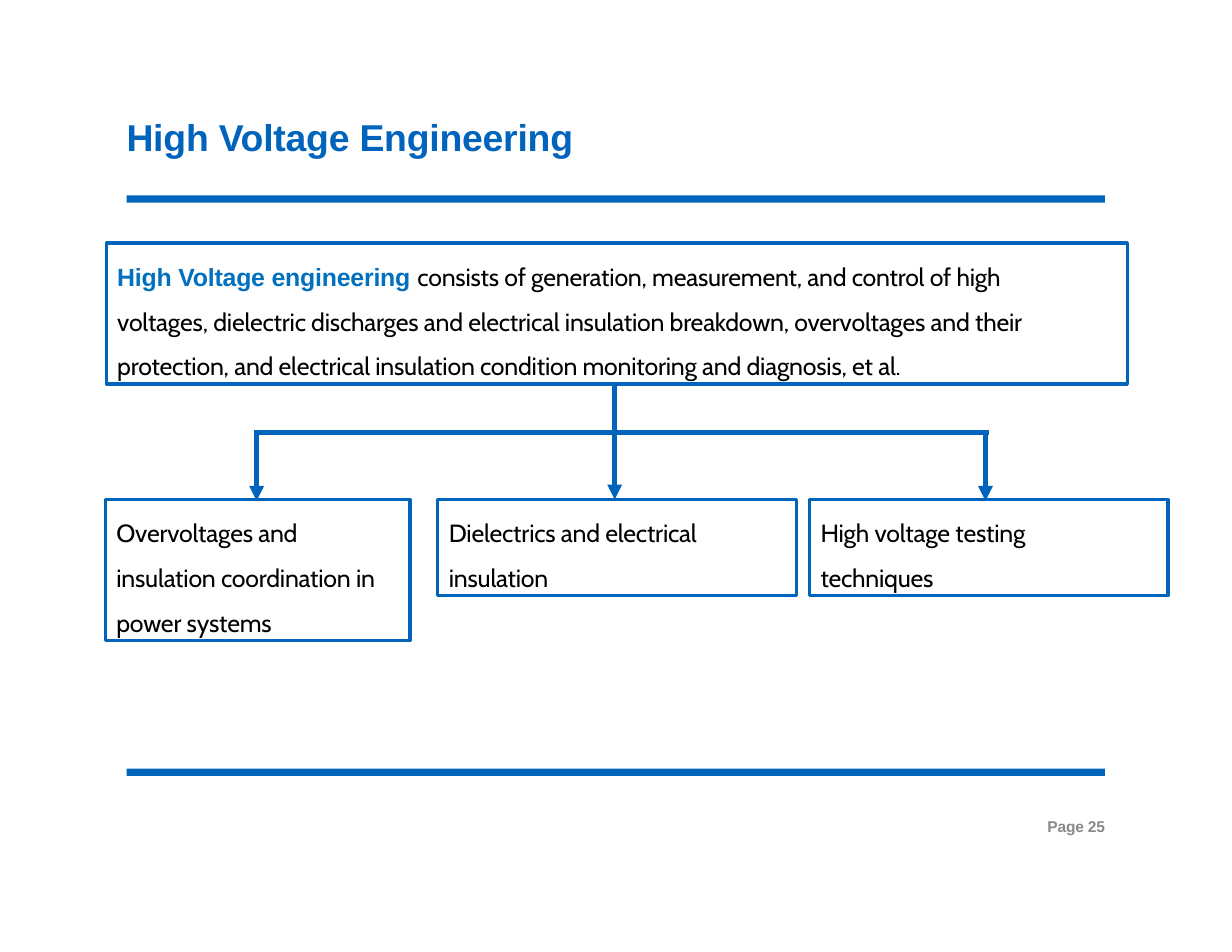
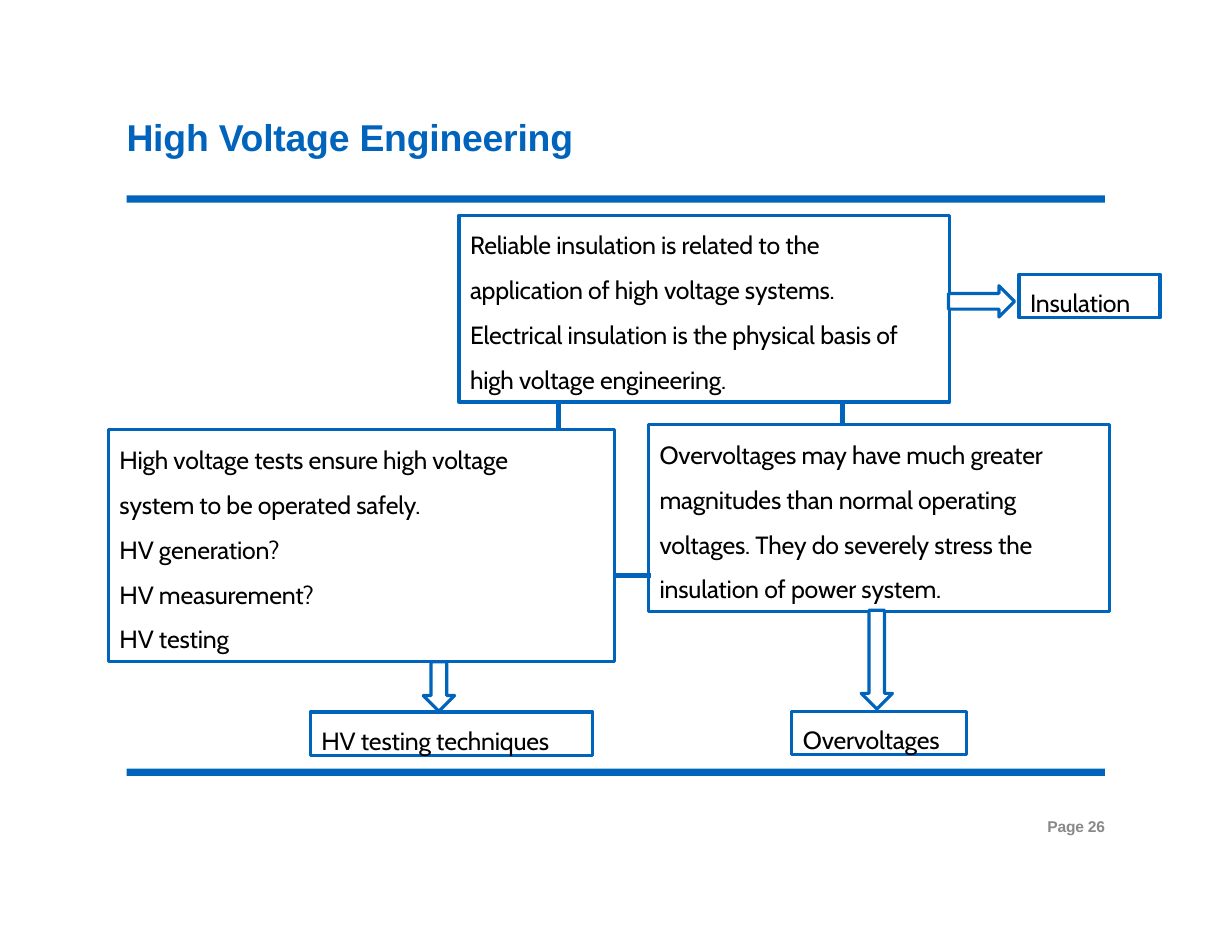
"""Build two slides on the fields of high voltage engineering."""
from lxml import etree
from pptx import Presentation
from pptx.dml.color import RGBColor
from pptx.enum.shapes import MSO_CONNECTOR, MSO_SHAPE
from pptx.enum.text import MSO_ANCHOR, MSO_AUTO_SIZE, PP_ALIGN
from pptx.oxml.ns import qn
from pptx.util import Cm, Inches, Pt

RECT, RIGHT, DOWN = MSO_SHAPE.RECTANGLE, MSO_SHAPE.RIGHT_ARROW, MSO_SHAPE.DOWN_ARROW
STRAIGHT = MSO_CONNECTOR.STRAIGHT
TOP, NONE = MSO_ANCHOR.TOP, MSO_AUTO_SIZE.NONE
START, END = PP_ALIGN.LEFT, PP_ALIGN.RIGHT

HUES = {"blue": "0064BC", "lead": "0070BF", "text": "000000",
        "page": "898989", "white": "FFFFFF"}
TITLE = "High Voltage Engineering"
LEFT, WIDE = 2.87, 22.19
BANDS = (4.43, 17.43)
PAD, LABEL = 0.25, 0.99

SLIDES = [
    {
        "page": "Page 25",
        "inset": 0.08,
        "boxes": [
            ((2.41, 5.51, 23.16, 3.2), 1.34, "High Voltage engineering ",
             ["consists of generation, measurement, and control of high voltages, "
              "dielectric discharges and electrical insulation breakdown, "
              "overvoltages and their protection, and electrical insulation "
              "condition monitoring and diagnosis, et al."]),
            ((2.39, 11.33, 6.91, 3.2), 0.45, "",
             ["Overvoltages and insulation coordination in power systems"]),
            ((9.93, 11.33, 8.13, 2.18), 0.45, "",
             ["Dielectrics and electrical insulation"]),
            ((18.36, 11.33, 8.13, 2.18), 1.34, "",
             ["High voltage testing techniques"]),
        ],
        "labels": [],
        "lines": [
            ((13.94, 8.74, 13.94, 11.33), True),
            ((5.77, 9.8, 22.43, 9.8), False),
            ((5.82, 9.8, 5.82, 11.36), True),
            ((22.35, 9.8, 22.35, 11.36), True),
        ],
        "arrows": [],
    },
    {
        "page": "Page 26",
        "inset": 0,
        "boxes": [
            ((10.41, 4.88, 11.12, 4.24), 0.66, "",
             ["Reliable insulation is related to the application of high voltage "
              "systems. Electrical insulation is the physical basis of high "
              "voltage engineering."]),
            ((2.46, 9.75, 11.48, 5.26), 1.47, "",
             ["High voltage tests ensure high voltage system to be operated safely.",
              "HV generation?", "HV measurement?", "HV testing"]),
            ((14.71, 9.63, 10.46, 4.24), 0.45, "",
             ["Overvoltages may have much greater magnitudes than normal operating "
              "voltages. They do severely stress the insulation of power system."]),
        ],
        "labels": [
            (23.11, 6.22, 3.2, "Insulation"),
            (7.04, 16.15, 6.4, "HV testing techniques"),
            (17.96, 16.13, 3.96, "Overvoltages"),
        ],
        "lines": [
            ((12.67, 9.12, 12.67, 9.75), False),
            ((19.11, 9.12, 19.11, 9.63), False),
            ((13.92, 13.06, 14.76, 13.06), False),
        ],
        "arrows": [
            (RIGHT, (21.51, 6.48, 1.5, 0.71)),
            (DOWN, (19.53, 13.84, 0.71, 2.24)),
            (DOWN, (9.6, 15.01, 0.71, 1.12)),
        ],
    },
]


def hue(name):
    return RGBColor.from_string(HUES[name])


def shape(slide, kind, place, fill=None, line=None):
    item = slide.shapes.add_shape(kind, *map(Cm, place))
    item.shadow.inherit = False
    if fill:
        item.fill.solid()
        item.fill.fore_color.rgb = hue(fill)
    else:
        item.fill.background()
    if line:
        item.line.color.rgb = hue(line)
        item.line.width = Pt(2.04)
    else:
        item.line.fill.background()
    return item


def write(item, paras, lead="", font="Cabin", size=16, color="text", bold=False,
          align=START, pitch=None, pad=(0, 0, 0), track=-10):
    """Fill a shape with text; pad holds the left, top and right insets."""
    frame = item.text_frame
    frame.word_wrap, frame.auto_size = True, NONE
    frame.vertical_anchor = TOP
    frame.margin_left, frame.margin_top, frame.margin_right = map(Cm, pad)
    frame.margin_bottom = 0
    for num, text in enumerate(paras):
        para = frame.add_paragraph() if num else frame.paragraphs[0]
        para.alignment = align
        if pitch:
            para.line_spacing = Pt(pitch)
        runs = [(text, font, color, bold)]
        if lead and not num:
            runs.insert(0, (lead, "Arial", "lead", True))
        for words, face, tint, heavy in runs:
            run = para.add_run()
            run.text = words
            run.font.name, run.font.size = face, Pt(size)
            run.font.bold, run.font.color.rgb = heavy, hue(tint)
    for props in item.element.iter(qn("a:rPr")):
        props.set("spc", str(track))


def link(slide, ends, head):
    item = slide.shapes.add_connector(STRAIGHT, *map(Cm, ends))
    item.line.color.rgb = hue("blue")
    item.line.width = Pt(3.2)
    if head:
        line = item.element.spPr.find(qn("a:ln"))
        etree.SubElement(line, qn("a:tailEnd"), type="triangle", w="med", len="med")
    etree.SubElement(item.element.spPr, qn("a:effectLst"))


def frame(slide, page):
    for top in BANDS:
        shape(slide, RECT, (LEFT, top, WIDE, 0.17), fill="blue")
    title = slide.shapes.add_textbox(Cm(LEFT), Cm(2.59), Cm(WIDE), Cm(1.1))
    write(title, [TITLE], font="Arial", size=24, color="blue", bold=True, track=-15)
    foot = slide.shapes.add_textbox(Cm(LEFT), Cm(18.52), Cm(WIDE), Cm(0.42))
    write(foot, [page], font="Arial", size=10, color="page", bold=True, align=END)


def build(deck, data):
    slide = deck.slides.add_slide(deck.slide_layouts[6])
    frame(slide, data["page"])
    for ends, head in data["lines"]:
        link(slide, ends, head)
    for place, right, lead, paras in data["boxes"]:
        box = shape(slide, RECT, place, line="blue")
        write(box, paras, lead=lead, pitch=28.8, pad=(PAD, data["inset"], right))
    for left, top, width, text in data["labels"]:
        box = shape(slide, RECT, (left, top, width, LABEL), line="blue")
        write(box, [text], pad=(PAD, 0.31, 0))
    for kind, place in data["arrows"]:
        shape(slide, kind, place, fill="white", line="blue")


def main():
    deck = Presentation()
    deck.slide_width, deck.slide_height = Inches(11), Inches(8.5)
    for data in SLIDES:
        build(deck, data)
    deck.save("out.pptx")


if __name__ == "__main__":
    main()
